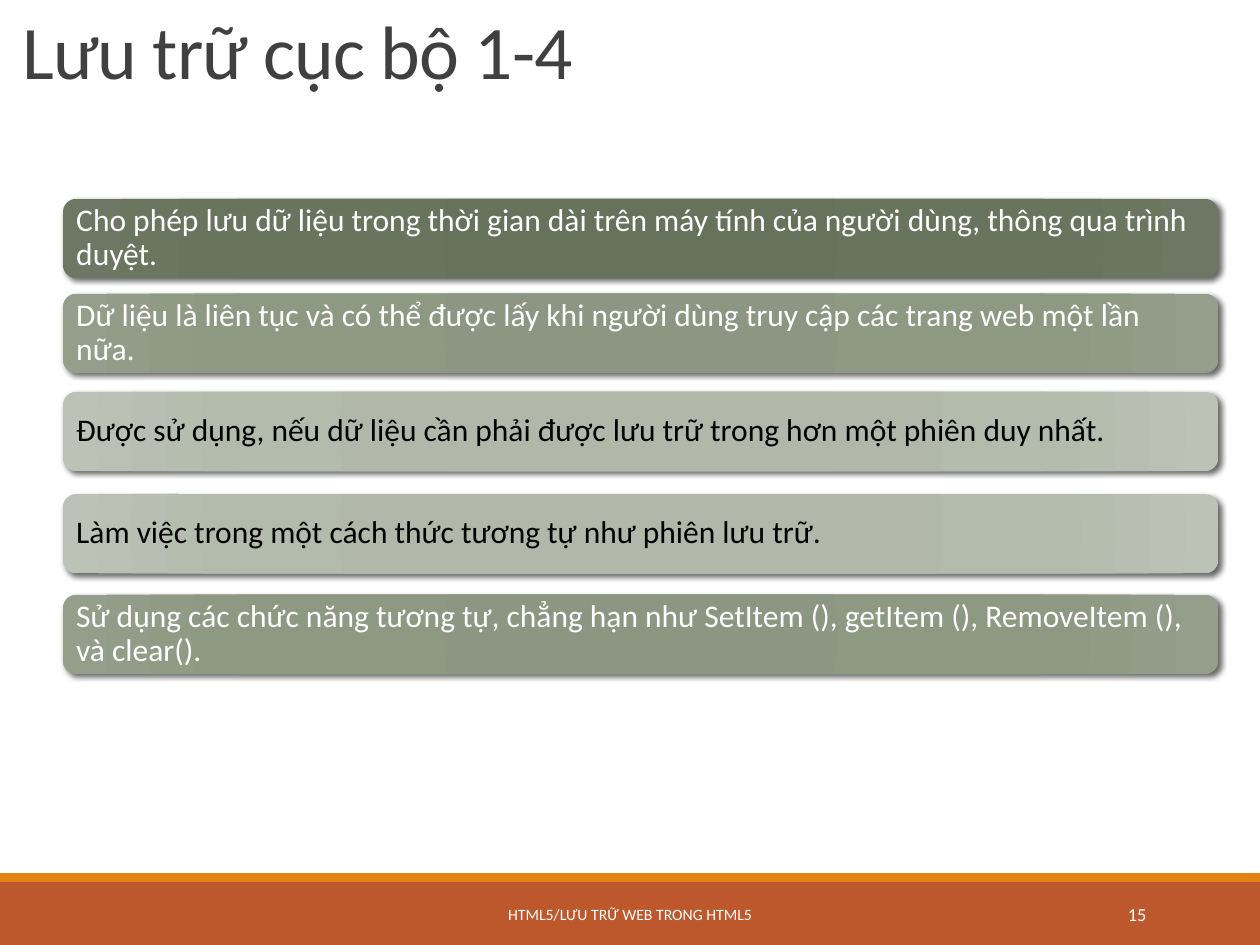
from dataclasses import dataclass

from lxml.etree import SubElement
from pptx import Presentation
from pptx.dml.color import RGBColor
from pptx.enum.shapes import MSO_SHAPE
from pptx.enum.text import MSO_ANCHOR, PP_ALIGN
from pptx.oxml import parse_xml
from pptx.oxml.ns import nsdecls, qn
from pptx.util import Cm, Pt

# Content
TITLE = "Lưu trữ cục bộ 1-4"
FOOTER = "HTML5/LƯU TRỮ WEB TRONG HTML5"
PAGE_NUMBER = "15"
# Top in cm, tone, wording
POINTS = [
    (4.01, "dark", "Cho phép lưu dữ liệu trong thời gian dài trên máy tính của người dùng, "
                   "thông qua trình duyệt."),
    (5.92, "middle", "Dữ liệu là liên tục và có thể được lấy khi người dùng truy cập các "
                     "trang web một lần nữa."),
    (7.9, "light", "Được sử dụng, nếu dữ liệu cần phải được lưu trữ trong hơn một phiên "
                   "duy nhất."),
    (9.96, "light", "Làm việc trong một cách thức tương tự như phiên lưu trữ."),
    (11.99, "middle", "Sử dụng các chức năng tương tự, chẳng hạn như SetItem (), getItem (), "
                      "RemoveItem (), và clear()."),
]
TONES = {  # text colour, gradient colours from centre outwards
    "dark": ("FFFFFF", ("66715B", "67725D", "69745E", "6D7764")),
    "middle": ("FFFFFF", ("8A9580", "8C9682", "8E9983", "959E8B")),
    "light": ("000000", ("AFB6A8", "B1B8AA", "B3BBAD", "BCC2B6")),
}
GRADIENT_STOPS = (0, 34, 70, 100)


@dataclass(frozen=True)
class Theme:
    font: str = "Calibri"
    title_color: str = "404040"
    footer_color: str = "FFFFFF"
    band: str = "BD582C"
    stripe: str = "E48312"
    title_size: float = 43.2
    point_size: float = 18
    footer_size: float = 9
    number_size: float = 10.5


THEME = Theme()


def write(shape, text, size, color, align=PP_ALIGN.LEFT, spacing=None):
    frame = shape.text_frame
    frame.word_wrap = True
    frame.vertical_anchor = MSO_ANCHOR.MIDDLE
    line = frame.paragraphs[0]
    line.text = text
    line.alignment = align
    line.line_spacing = spacing
    line.font.name = THEME.font
    line.font.size = Pt(size)
    line.font.color.rgb = RGBColor.from_string(color)
    return line


def add_plain_shape(slide, kind, box):
    shape = slide.shapes.add_shape(kind, *map(Cm, box))
    shape.shadow.inherit = False
    shape.line.fill.background()
    return shape


def add_band(slide, box, color):
    band = add_plain_shape(slide, MSO_SHAPE.RECTANGLE, box)
    band.fill.solid()
    band.fill.fore_color.rgb = RGBColor.from_string(color)


def add_text(slide, box, *text_args, **text_options):
    return write(slide.shapes.add_textbox(*map(Cm, box)), *text_args, **text_options)


def fill_radially(shape, colors):
    stops = "".join(
        f'<a:gs pos="{stop * 1000}"><a:srgbClr val="{color}"/></a:gs>'
        for stop, color in zip(GRADIENT_STOPS, colors))
    gradient = parse_xml(
        f'<a:gradFill {nsdecls("a")} rotWithShape="1"><a:gsLst>{stops}</a:gsLst>'
        '<a:path path="circle"><a:fillToRect l="100000" t="100000" r="100000" b="100000"/>'
        '</a:path></a:gradFill>')
    shape.fill.background()
    properties = shape.element.spPr
    properties.replace(properties.find(qn("a:noFill")), gradient)


def add_shadow(shape):
    effects = shape.element.spPr.find(qn("a:effectLst"))
    shadow = SubElement(effects, qn("a:outerShdw"), blurRad=str(Pt(3)), dist=str(Pt(2)),
                        dir=str(45 * 60000), algn="ctr", rotWithShape="0")
    color = SubElement(shadow, qn("a:srgbClr"), val="000000")
    SubElement(color, qn("a:alpha"), val="60000")


def add_point(slide, top, tone, text):
    text_color, colors = TONES[tone]
    bar = add_plain_shape(slide, MSO_SHAPE.ROUNDED_RECTANGLE, (1.27, top, 23.29, 1.6))
    fill_radially(bar, colors)
    add_shadow(bar)
    frame = bar.text_frame
    frame.margin_left = frame.margin_right = Cm(0.19)
    frame.margin_top = frame.margin_bottom = Cm(0.19)
    write(bar, text, THEME.point_size, text_color, spacing=0.9)


def main():
    deck = Presentation()
    deck.slide_width, deck.slide_height = Cm(25.4), Cm(19.05)
    slide = deck.slides.add_slide(deck.slide_layouts[6])

    # Footer
    add_band(slide, (0, 17.78, 25.4, 1.27), THEME.band)
    add_band(slide, (0, 17.6, 25.4, 0.18), THEME.stripe)
    add_text(slide, (20.62, 17.92, 2.74, 1.01), PAGE_NUMBER, THEME.number_size,
             THEME.footer_color, align=PP_ALIGN.RIGHT)
    add_text(slide, (7.67, 17.92, 10.06, 1.01), FOOTER, THEME.footer_size,
             THEME.footer_color, align=PP_ALIGN.CENTER)

    # Title, slightly tightened
    title = add_text(slide, (0.2, 0.56, 24.77, 1.14), TITLE, THEME.title_size,
                     THEME.title_color, spacing=0.85)
    title.runs[0].font._element.set("spc", "-50")

    # Points
    for point in POINTS:
        add_point(slide, *point)

    deck.save("out.pptx")


if __name__ == "__main__":
    main()
